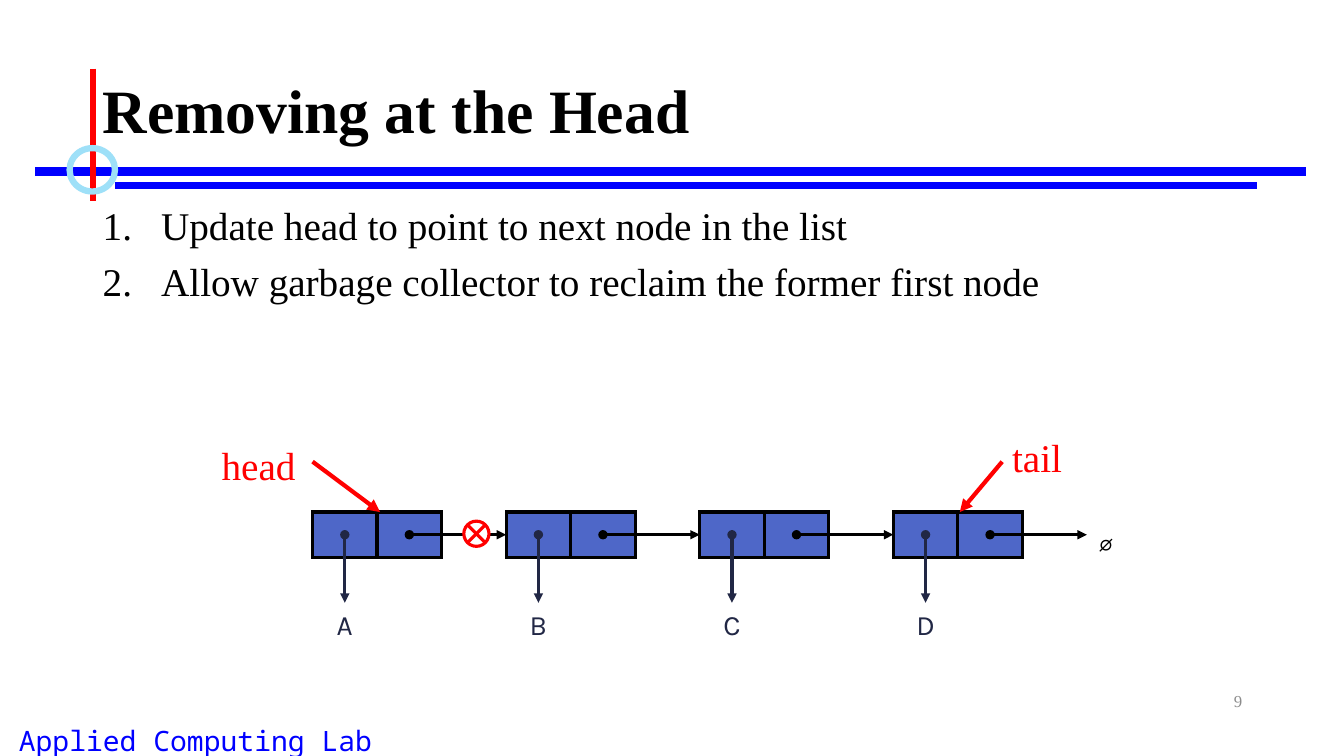
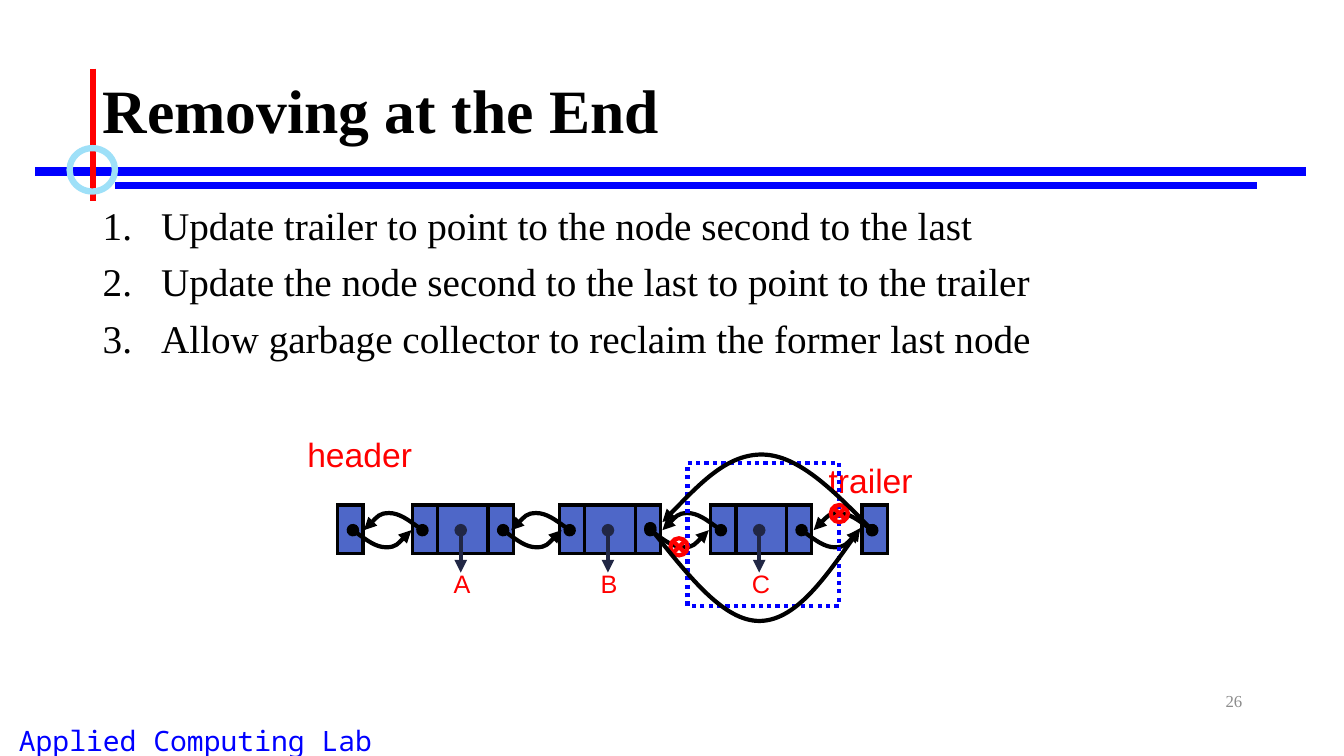
from dataclasses import dataclass

from lxml import etree
from pptx import Presentation
from pptx.dml.color import RGBColor
from pptx.enum.dml import MSO_LINE
from pptx.enum.shapes import MSO_CONNECTOR, MSO_SHAPE
from pptx.enum.text import MSO_ANCHOR, PP_ALIGN
from pptx.oxml.ns import qn
from pptx.util import Inches, Pt

RECTANGLE, ELLIPSE = MSO_SHAPE.RECTANGLE, MSO_SHAPE.OVAL
CROSSED_CIRCLE = MSO_SHAPE.FLOWCHART_SUMMING_JUNCTION
STRAIGHT = MSO_CONNECTOR.STRAIGHT
LINE, CURVE = "line", "curve"
DOTTED = MSO_LINE.ROUND_DOT
LEFT, CENTER, RIGHT = PP_ALIGN.LEFT, PP_ALIGN.CENTER, PP_ALIGN.RIGHT
TOP, MIDDLE = MSO_ANCHOR.TOP, MSO_ANCHOR.MIDDLE
LEFT_SIDE = 1


@dataclass(frozen=True)
class Theme:
    ink: str = "000000"
    navy: str = "212745"
    node: str = "4E67C8"
    blue: str = "0000FF"
    red: str = "FF0000"
    sky: str = "9EE0F8"
    gray: str = "8C8C8C"
    white: str = "FFFFFF"
    serif: str = "Times New Roman"
    sans: str = "Arial"
    label: str = "Karla"
    mono: str = "Noto Sans Mono"
    title: float = 44
    body: float = 28
    pointer: float = 24
    footer: float = 20
    small: float = 18
    number: float = 12
    thin: float = 2.25
    medium: float = 3
    thick: float = 4.5
    heavy: float = 6


theme = Theme()


def draw(page, kind, place, color, width, fill=None, head=None, tail=None, dash=None):
    if kind == LINE:
        item = page.shapes.add_connector(STRAIGHT, *map(Inches, place))
    elif kind == CURVE:
        points = [(Inches(x), Inches(y)) for x, y in place]
        builder = page.shapes.build_freeform(*points[0])
        builder.add_line_segments(points[1:], close=False)
        item = builder.convert_to_shape()
        outline = item.element.spPr.find(".//" + qn("a:path"))
        steps = outline.findall(qn("a:lnTo"))
        for first in range(0, len(steps), 3):
            bend = etree.SubElement(outline, qn("a:cubicBezTo"))
            for step in steps[first:first + 3]:
                bend.append(step[0])
                outline.remove(step)
    else:
        item = page.shapes.add_shape(kind, *map(Inches, place))
    if fill:
        item.fill.solid()
        item.fill.fore_color.rgb = RGBColor.from_string(fill)
    elif kind != LINE:
        item.fill.background()
    item.line.color.rgb = RGBColor.from_string(color)
    item.line.width = Pt(width)
    if dash:
        item.line.dash_style = dash
    stroke = item.element.spPr.find(qn("a:ln"))
    etree.SubElement(stroke, qn("a:miter"), lim="800000")
    for tag, tip in (("a:headEnd", head), ("a:tailEnd", tail)):
        if tip:
            etree.SubElement(stroke, qn(tag), type=tip)
    etree.SubElement(item.element.spPr, qn("a:effectLst"))
    return item


def write(page, place, lines, font, size, color, align=LEFT, anchor=TOP,
          bold=False, spacing=None, numbered=False):
    box = page.shapes.add_textbox(*map(Inches, place))
    frame = box.text_frame
    frame.word_wrap = True
    frame.vertical_anchor = anchor
    frame.text = "\n".join(lines)
    for index, para in enumerate(frame.paragraphs):
        para.alignment = align
        if spacing:
            para.line_spacing = spacing
        if numbered:
            if index:
                para.space_before = Pt(10)
            properties = para._p.get_or_add_pPr()
            properties.set("marL", str(Inches(0.58)))
            properties.set("indent", str(-Inches(0.58)))
            etree.SubElement(properties, qn("a:buFont"), typeface="+mj-lt")
            etree.SubElement(properties, qn("a:buAutoNum"), type="arabicPeriod")
        for span in para.runs:
            span.font.name = font
            span.font.size = Pt(size)
            span.font.bold = bold
            span.font.color.rgb = RGBColor.from_string(color)


deck = Presentation()
deck.slide_width, deck.slide_height = Inches(13.33), Inches(7.5)
blank = deck.slide_layouts[6]

margin, content = 0.92, 11.5
topics = [
    ("Removing at the Head", "9", [
        "Update head to point to next node in the list",
        "Allow garbage collector to reclaim the former first node"]),
    ("Removing at the End", "26", [
        "Update trailer to point to the node second to the last",
        "Update the node second to the last to point to the trailer",
        "Allow garbage collector to reclaim the former last node"]),
]
rules = [
    ((0.35, 1.7, 12.95, 1.7), theme.blue, theme.heavy),
    ((1.14, 1.84, 12.47, 1.84), theme.blue, theme.thick),
    ((margin, 0.68, margin, 1.99), theme.red, theme.thick),
]
pages = []
for title, number, steps in topics:
    page = deck.slides.add_slide(blank)
    pages.append(page)
    write(page, (0, 7.13, 3.88, 0.37), ["Applied Computing Lab"],
          theme.mono, theme.footer, theme.blue, CENTER)
    for ends, color, width in rules:
        draw(page, LINE, ends, color, width)
    draw(page, ELLIPSE, (0.69, 1.47, 0.45, 0.43), theme.sky, theme.thick)
    write(page, (9.42, 6.75, 3, 0.4), [number],
          theme.serif, theme.number, theme.gray, RIGHT, MIDDLE)
    write(page, (margin, 0.4, content, 1.45), [title], theme.serif, theme.title,
          theme.ink, anchor=MIDDLE, bold=True, spacing=0.9)
    write(page, (margin, 2, content, 4.76), steps, theme.serif, theme.body,
          theme.ink, spacing=0.9, numbered=True)

single, double = pages

column, row = 0.64, 0.45
left, top = 3.1, 5.08
middle = top + row / 2
letters = "ABCD"
starts = [left + 3 * column * index for index in range(len(letters))]
values = []
for x in starts:
    for offset in range(2):
        cell = draw(single, RECTANGLE, (x + offset * column, top, column, row),
                    theme.ink, theme.thin, theme.node)
        if offset == 0:
            values.append(cell)
for index, (x, letter) in enumerate(zip(starts, letters)):
    link = draw(single, LINE, (x + 1.5 * column, middle, x + 3 * column, middle),
                theme.ink, theme.thin, head="oval", tail="triangle")
    if index + 1 < len(values):
        link.end_connect(values[index + 1], LEFT_SIDE)
    center = x + column / 2
    draw(single, LINE, (center, middle, center, top + 2 * row),
         theme.navy, theme.thin, head="oval", tail="triangle")
    write(single, (x, top + 2 * row, column, row), [letter],
          theme.label, theme.footer, theme.navy, CENTER)
write(single, (10.65, 5.16, column, row), ["∅"],
      theme.label, theme.footer, theme.ink, CENTER)
for name, x, y, arrow in [
    ("head", 2.1, 4.33, (3.1, 4.58, 3.77, top)),
    ("tail", 9.94, 4.25, (9.94, 4.58, 9.52, top)),
]:
    write(single, (x, y, 1.2, 0.57), [name], theme.serif, theme.body, theme.red)
    draw(single, LINE, arrow, theme.red, theme.medium, tail="triangle")
draw(single, CROSSED_CIRCLE, (4.6, 5.17, 0.25, 0.25), theme.red, theme.thin, theme.white)

column, row = 0.25, 0.48
top, middle = 5.01, 5.26
header, trailer = 2.6, 8.55
nodes = {"A": 4.09, "B": 5.55, "C": 7.05}
across = (0, 0.11, 0.23, 0.33, 0.43, 0.5, 0.58)
sag = (0, 0.08, 0.17, 0.17, 0.17, 0.08, 0)
cells = [(header + 3 * column, 1), (trailer, 1)]
for x in nodes.values():
    cells += [(x, 1), (x + column, 2), (x + 3 * column, 1)]
for x, columns in cells:
    draw(double, RECTANGLE, (x, top, columns * column, row),
         theme.ink, theme.thin, theme.node)
for letter, x in nodes.items():
    draw(double, LINE, (x + 0.48, middle, x + 0.48, 5.68),
         theme.navy, theme.medium, head="oval", tail="triangle")
    write(double, (x + 0.31, 5.59, 0.5, 0.4), [letter],
          theme.sans, theme.small, theme.red)
forward = [(x, 1) for x in (header, *nodes.values())]
backward = [(x, -1) for x in (*nodes.values(), trailer)]
for x, way in forward + backward:
    start = x + 0.5 + 0.4 * way
    draw(double, CURVE, [(start + way * a, middle + way * b) for a, b in zip(across, sag)],
         theme.ink, theme.medium, head="oval", tail="triangle")
for name, x, y in [("header", 2.95, 4.26), ("trailer", 8.12, 4.51)]:
    write(double, (x, y, 1.5, 0.5), [name], theme.sans, theme.pointer, theme.red)
draw(double, RECTANGLE, (6.82, 4.59, 1.5, 1.42), theme.blue, theme.medium, dash=DOTTED)
for x, y in [(8.24, 5.01), (6.65, 5.34)]:
    draw(double, CROSSED_CIRCLE, (x, y, 0.17, 0.17), theme.red, theme.medium)
for bypass in [
    [(8.65, 5.26), (8.29, 4.89), (7.92, 4.52), (7.57, 4.51),
     (7.22, 4.5), (6.9, 4.84), (6.57, 5.18)],
    [(6.45, 5.24), (6.82, 5.7), (7.18, 6.16), (7.53, 6.16),
     (7.88, 6.16), (8.21, 5.7), (8.53, 5.24)],
]:
    draw(double, CURVE, bypass, theme.ink, theme.medium, head="oval", tail="triangle")

deck.save("out.pptx")
